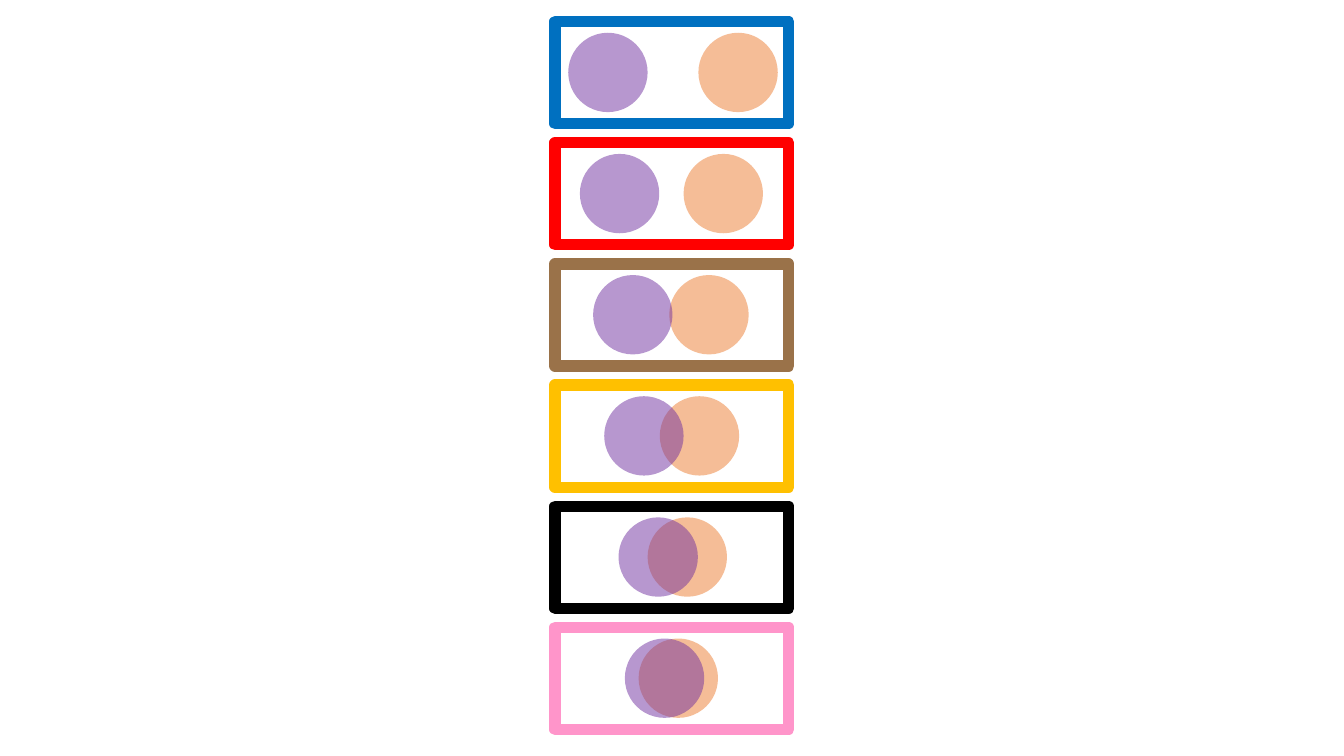
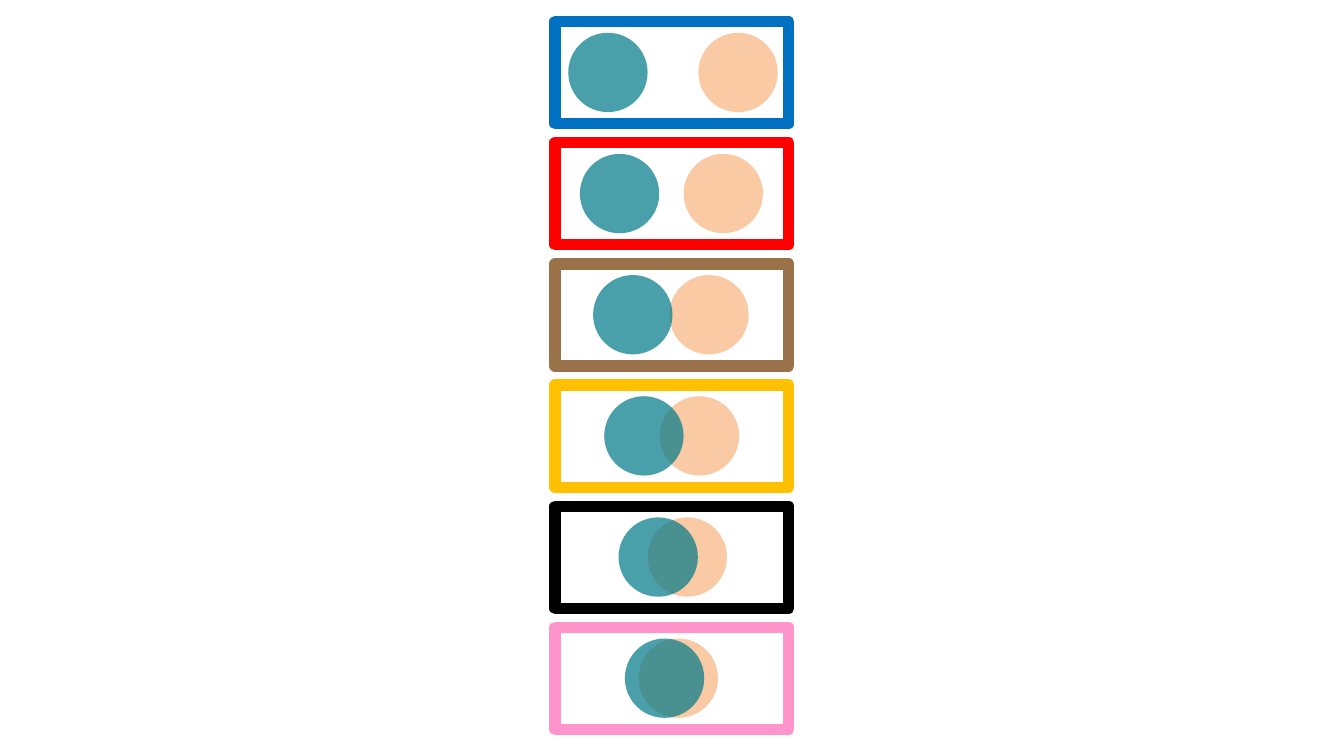
from dataclasses import dataclass

from lxml.etree import SubElement
from pptx import Presentation
from pptx.dml.color import RGBColor
from pptx.enum.shapes import MSO_SHAPE as Shape
from pptx.oxml.ns import qn
from pptx.util import Cm, Pt


@dataclass(frozen=True)
class Theme:
    """Colours and line width shared by the slides."""
    paper: str = "FFFFFF"
    purple: str = "7030A0"
    orange: str = "ED7D31"
    teal: str = "057C8A"
    peach: str = "FACAA5"
    frames: tuple = ("0070C0", "FF0000", "9A7249", "FFC000", "000000", "FF95CA")
    border: float = 6


# Layout in centimetres
LEFT, TOP, WIDTH, HEIGHT = 10.49, 0.41, 4.42, 1.93
STEP = 2.29
SIZE, INSET = 1.5, 0.21

# Left edges of the two discs, row by row, as they close in
PAIRS = ((10.74, 13.2), (10.96, 12.92), (11.21, 12.65),
         (11.42, 12.47), (11.69, 12.24), (11.81, 12.07))


class Deck:
    def __init__(self, theme):
        self.theme = theme
        self.prs = Presentation()
        self.prs.slide_width, self.prs.slide_height = Cm(25.4), Cm(14.29)
        self.slide = None

    def page(self):
        self.slide = self.prs.slides.add_slide(self.prs.slide_layouts[6])

    def shape(self, kind, left, top, width, height, fill):
        item = self.slide.shapes.add_shape(
            kind, Cm(left), Cm(top), Cm(width), Cm(height))
        item.shadow.inherit = False
        item.fill.solid()
        item.fill.fore_color.rgb = RGBColor.from_string(fill)
        return item

    def frame(self, top, color):
        box = self.shape(Shape.RECTANGLE, LEFT, top, WIDTH, HEIGHT,
                         self.theme.paper)
        box.line.color.rgb = RGBColor.from_string(color)
        box.line.width = Pt(self.theme.border)

    def disc(self, left, top, color, alpha=100):
        dot = self.shape(Shape.OVAL, left, top, SIZE, SIZE, color)
        dot.line.fill.background()
        if alpha < 100:
            tone = dot._element.spPr.find(qn("a:solidFill"))[0]
            SubElement(tone, qn("a:alpha"), val=str(alpha * 1000))

    def stack(self, front, back):
        """Draw the six frames; front and back are (colour, alpha)."""
        self.page()
        for row, (color, (near, far)) in enumerate(zip(self.theme.frames, PAIRS)):
            top = TOP + row * STEP
            self.frame(top, color)
            self.disc(far, top + INSET, *back)
            self.disc(near, top + INSET, *front)


def main():
    theme = Theme()
    deck = Deck(theme)
    # Purple over orange, both see-through
    deck.stack((theme.purple, 50), (theme.orange, 50))
    # Teal over solid peach
    deck.stack((theme.teal, 72), (theme.peach, 100))
    deck.prs.save("out.pptx")


if __name__ == "__main__":
    main()
